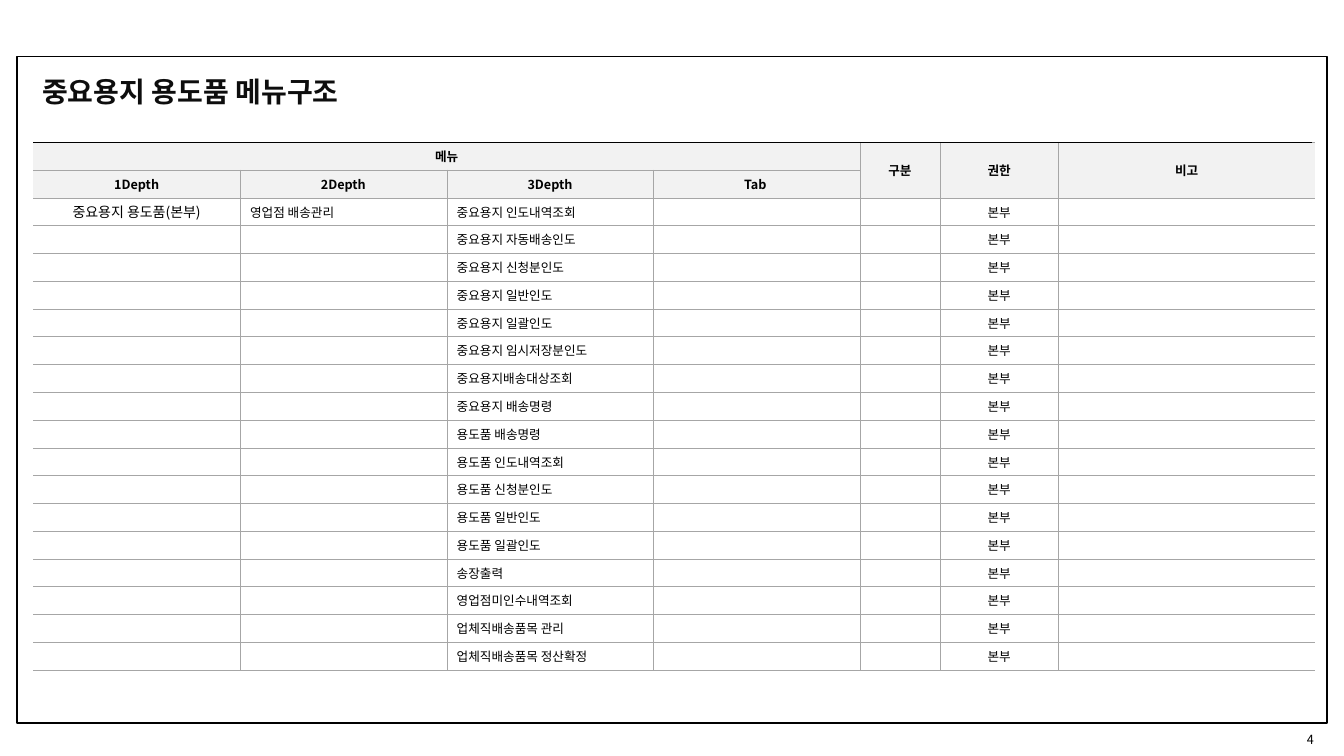
from dataclasses import dataclass

from lxml.etree import SubElement
from pptx import Presentation
from pptx.dml.color import RGBColor
from pptx.enum.shapes import MSO_CONNECTOR, MSO_SHAPE
from pptx.enum.text import MSO_ANCHOR as Anchor
from pptx.enum.text import MSO_AUTO_SIZE as AutoSize
from pptx.enum.text import PP_ALIGN as Align
from pptx.oxml.ns import qn
from pptx.util import Emu, Pt

EMU_PER_PX = 9144  # 100 px to the inch
FONT = "Noto Sans CJK KR"
BLACK, INK, GRID, HEADER_FILL = "000000", "0D0D0D", "A6A6A6", "F2F2F2"

TABLE_LEFT, TABLE_TOP, TABLE_HEIGHT = 33, 141, 524
COLUMN_WIDTHS = [205, 205, 205, 205, 79, 118, 254]
HEADER_ROWS = 2
LAST_COLUMN = len(COLUMN_WIDTHS) - 1
SCREENS = [
    "중요용지 인도내역조회", "중요용지 자동배송인도", "중요용지 신청분인도",
    "중요용지 일반인도", "중요용지 일괄인도", "중요용지 임시저장분인도",
    "중요용지배송대상조회", "중요용지 배송명령", "용도품 배송명령",
    "용도품 인도내역조회", "용도품 신청분인도", "용도품 일반인도",
    "용도품 일괄인도", "송장출력", "영업점미인수내역조회",
    "업체직배송품목 관리", "업체직배송품목 정산확정",
]


@dataclass(frozen=True)
class CellText:
    row: int
    column: int
    text: str
    align: Align = Align.CENTER
    size: int = 9
    bold: bool = False


@dataclass(frozen=True)
class Label:
    left: int
    top: int
    width: int
    height: int
    text: str
    size: int
    color: str
    align: Align = Align.LEFT
    bold: bool = False
    wrap: bool = True


LABELS = [
    Label(32, 69, 336, 44, "중요용지 용도품 메뉴구조", 20, INK, bold=True, wrap=False),
    Label(1244, 718, 69, 31, "4", 9, BLACK, Align.RIGHT),
]


def px(length: int) -> Emu:
    return Emu(length * EMU_PER_PX)


def rgb(color: str) -> RGBColor:
    return RGBColor.from_string(color)


def add_run(paragraph, text: str, size: int, color: str, bold: bool) -> None:
    run = paragraph.add_run()
    run.text = text
    font = run.font
    font.size, font.bold, font.name = Pt(size), bold, FONT
    font.color.rgb = rgb(color)
    SubElement(font._element, qn("a:ea")).set("typeface", FONT)


def draw_label(slide, label: Label) -> None:
    box = slide.shapes.add_textbox(
        px(label.left), px(label.top), px(label.width), px(label.height))
    frame = box.text_frame
    frame.word_wrap = label.wrap
    frame.auto_size = AutoSize.NONE if label.wrap else AutoSize.SHAPE_TO_FIT_TEXT
    frame.vertical_anchor = Anchor.MIDDLE
    paragraph = frame.paragraphs[0]
    paragraph.alignment = label.align
    add_run(paragraph, label.text, label.size, label.color, label.bold)


def draw_frame(slide) -> None:
    frame = slide.shapes.add_shape(
        MSO_SHAPE.RECTANGLE, px(17), px(56), px(1299), px(661))
    frame.shadow.inherit = False
    frame.fill.background()
    frame.line.color.rgb = rgb(BLACK)
    frame.line.width = Pt(1.3)


def set_borders(cell, column: int) -> None:
    """Grid lines on every side except the table's outer left and right."""
    properties = cell._tc.get_or_add_tcPr()
    hidden = {"a:lnL": column == 0, "a:lnR": column == LAST_COLUMN}
    for side in ("a:lnL", "a:lnR", "a:lnT", "a:lnB"):
        line = SubElement(properties, qn(side), w=str(Pt(0.25)))
        if hidden.get(side):
            SubElement(line, qn("a:noFill"))
        else:
            fill = SubElement(line, qn("a:solidFill"))
            SubElement(fill, qn("a:srgbClr"), val=GRID)


def style_cell(cell, row: int, column: int) -> None:
    set_borders(cell, column)
    if row < HEADER_ROWS:
        cell.fill.solid()
        cell.fill.fore_color.rgb = rgb(HEADER_FILL)
    else:
        cell.fill.background()
    cell.vertical_anchor = Anchor.MIDDLE
    cell.margin_top = cell.margin_bottom = px(2)
    # Keeps empty cells from stretching their row
    SubElement(cell.text_frame.paragraphs[0]._p, qn("a:endParaRPr"), sz="900")


def menu_texts() -> list[CellText]:
    texts = [CellText(0, 0, "메뉴", bold=True)]
    texts += [CellText(0, column, text, bold=True)
              for column, text in enumerate(["구분", "권한", "비고"], start=4)]
    texts += [CellText(1, column, text, bold=True)
              for column, text in enumerate(["1Depth", "2Depth", "3Depth", "Tab "])]
    texts += [CellText(2, 0, "중요용지 용도품(본부)", size=10),
              CellText(2, 1, "영업점 배송관리", Align.LEFT)]
    for row, screen in enumerate(SCREENS, start=HEADER_ROWS):
        texts += [CellText(row, 2, screen, Align.LEFT), CellText(row, 5, "본부")]
    return texts


def draw_menu_table(slide) -> None:
    row_count = HEADER_ROWS + len(SCREENS)
    table = slide.shapes.add_table(
        row_count, len(COLUMN_WIDTHS), px(TABLE_LEFT), px(TABLE_TOP),
        px(sum(COLUMN_WIDTHS)), px(TABLE_HEIGHT)).table
    table.first_row = table.horz_banding = False
    for column, width in zip(table.columns, COLUMN_WIDTHS):
        column.width = px(width)
    for row in table.rows:
        row.height = Emu(px(TABLE_HEIGHT) // row_count)

    for row in range(row_count):
        for column in range(len(COLUMN_WIDTHS)):
            style_cell(table.cell(row, column), row, column)

    # Header spans
    table.cell(0, 0).merge(table.cell(0, 3))
    for column in range(4, len(COLUMN_WIDTHS)):
        table.cell(0, column).merge(table.cell(1, column))

    for item in menu_texts():
        paragraph = table.cell(item.row, item.column).text_frame.paragraphs[0]
        paragraph.alignment = item.align
        add_run(paragraph, item.text, item.size, BLACK, item.bold)


def draw_top_rule(slide) -> None:
    rule = slide.shapes.add_connector(
        MSO_CONNECTOR.STRAIGHT, px(TABLE_LEFT), px(TABLE_TOP), px(1301), px(TABLE_TOP))
    rule.line.color.rgb = rgb(BLACK)
    rule.line.width = Pt(0.5)
    SubElement(rule._element.spPr, qn("a:effectLst"))


def main() -> None:
    presentation = Presentation()
    presentation.slide_width, presentation.slide_height = px(1333), px(750)
    slide = presentation.slides.add_slide(presentation.slide_layouts[6])
    draw_frame(slide)
    for label in LABELS:
        draw_label(slide, label)
    draw_menu_table(slide)
    draw_top_rule(slide)
    presentation.save("out.pptx")


if __name__ == "__main__":
    main()
